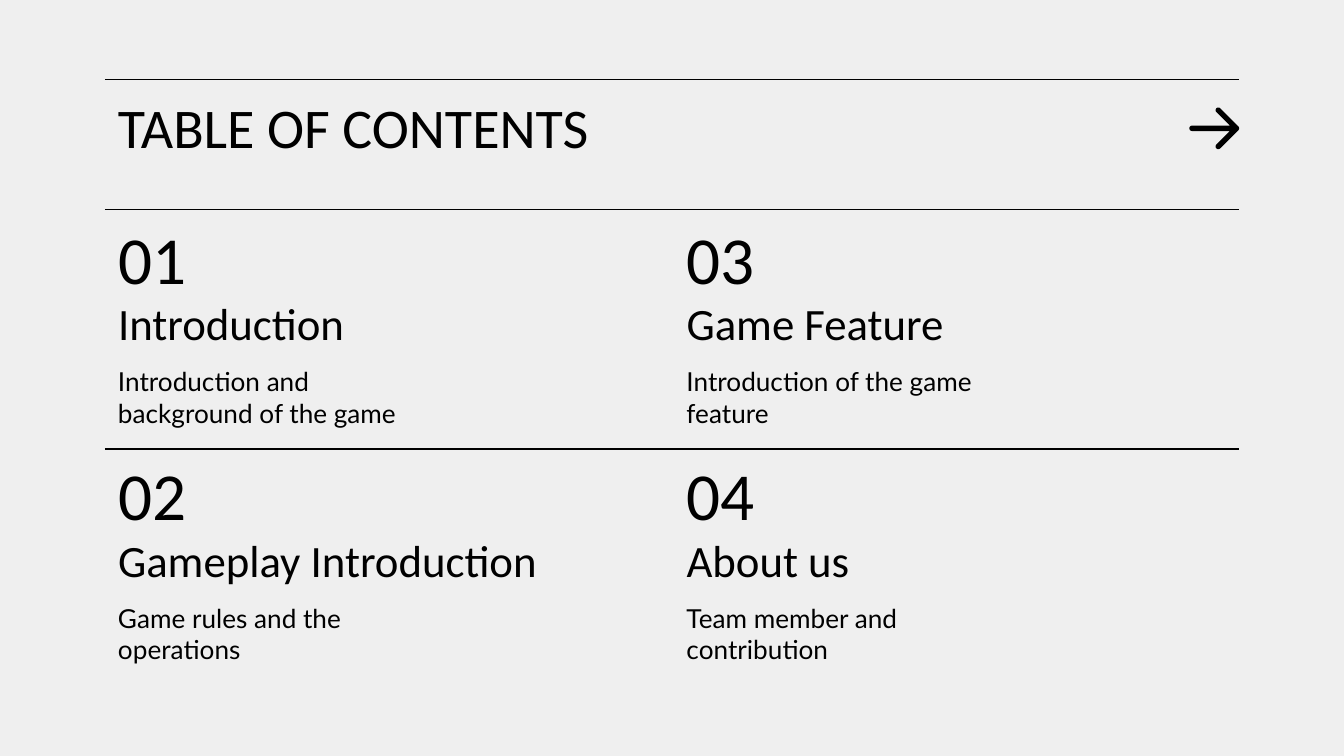
import math
from dataclasses import dataclass

import pptx
import pptx.dml.color
import pptx.enum.shapes
import pptx.enum.text
import pptx.util
from lxml import etree
from pptx.oxml.ns import qn

Inches = pptx.util.Inches
Anchor = pptx.enum.text.MSO_ANCHOR


@dataclass(frozen=True)
class Theme:
    ink: str = "000000"
    paper: str = "EFEFEF"
    heading_font: str = "Calibri"
    body_font: str = "Lato"
    title_size: int = 30
    number_size: int = 36
    topic_size: int = 24
    summary_size: int = 14
    rule_width: float = 0.75


THEME = Theme()
INK = pptx.dml.color.RGBColor.from_string(THEME.ink)

LEFT, WIDTH = 0.78, 8.44
HEADER_TOP, HEADER_HEIGHT = 0.59, 0.97
COLUMNS = (LEFT, 5.01)
ROWS = (1.64, 3.4)
RULES = (HEADER_TOP, HEADER_TOP + HEADER_HEIGHT, 3.34)
# One list of (topic, summary) per column, numbered down each column
CONTENTS = (
    (
        ("Introduction", "Introduction and background of the game"),
        ("Gameplay Introduction", "Game rules and the operations"),
    ),
    (
        ("Game Feature", "Introduction of the game feature"),
        ("About us", "Team member and contribution"),
    ),
)


def add_text(slide, box, text, size, font, anchor=Anchor.TOP):
    frame = slide.shapes.add_textbox(*map(Inches, box)).text_frame
    frame_format = {
        "word_wrap": True,
        "auto_size": pptx.enum.text.MSO_AUTO_SIZE.NONE,
        "vertical_anchor": anchor,
    }
    for side in ("left", "top", "right", "bottom"):
        frame_format[f"margin_{side}"] = Inches(0.1)
    for name, value in frame_format.items():
        setattr(frame, name, value)
    run = frame.paragraphs[0].add_run()
    run.text = text
    for name, value in {"size": pptx.util.Pt(size), "name": font}.items():
        setattr(run.font, name, value)
    run.font.color.rgb = INK


def add_rule(slide, left, top, width):
    rule = slide.shapes.add_connector(
        pptx.enum.shapes.MSO_CONNECTOR.STRAIGHT,
        Inches(left), Inches(top), Inches(left + width), Inches(top),
    )
    rule.line.color.rgb = INK
    rule.line.width = pptx.util.Pt(THEME.rule_width)
    etree.SubElement(rule._element.spPr, qn("a:effectLst"))


def arc(center, radius, start, end, steps=12):
    """Return points along an arc; angles in degrees, clockwise from right."""
    angles = (math.radians(start + (end - start) * i / steps) for i in range(steps + 1))
    return [
        (center[0] + radius * math.cos(a), center[1] + radius * math.sin(a))
        for a in angles
    ]


def add_arrow(slide, left, top, width, height):
    """Draw a right arrow with rounded ends and 45-degree arms."""
    radius = 0.02
    middle = top + height / 2
    tip = (left + width - radius, middle)
    arm_x = left + width - height / 2
    inner_x = tip[0] - radius * (1 + math.sqrt(2))
    outline = [
        *arc((arm_x, top + radius), radius, 135, 315),
        *arc(tip, radius, -45, 45),
        *arc((arm_x, top + height - radius), radius, 45, 225),
        (inner_x, middle + radius),
        *arc((left + radius, middle), radius, 90, 270),
        (inner_x, middle - radius),
    ]
    points = [(Inches(x), Inches(y)) for x, y in outline]
    builder = slide.shapes.build_freeform(*points[0])
    builder.add_line_segments(points[1:], close=True)
    arrow = builder.convert_to_shape()
    arrow.shadow.inherit = False
    arrow.fill.solid()
    arrow.fill.fore_color.rgb = INK
    arrow.line.fill.background()


def add_header(slide, left, top, width):
    add_text(slide, (left, top, width, 0.52), "TABLE OF CONTENTS",
             THEME.title_size, THEME.heading_font)
    add_arrow(slide, left + width - 0.37, top + 0.21, 0.37, 0.31)


def add_entry(slide, left, top, number, topic, summary):
    topic_width = 3.98 if len(topic) > 20 else 2.92
    parts = (
        (0, 2.92, 0.55, f"{number:02}", THEME.number_size, THEME.heading_font, Anchor.MIDDLE),
        (0.55, topic_width, 0.51, topic, THEME.topic_size, THEME.heading_font, Anchor.BOTTOM),
        (0.98, 2.37, 0.54, summary, THEME.summary_size, THEME.body_font, Anchor.TOP),
    )
    for offset, width, height, *text_format in parts:
        add_text(slide, (left, top + offset, width, height), *text_format)


def main():
    deck = pptx.Presentation()
    deck.slide_width = Inches(10)
    deck.slide_height = deck.slide_width * 9 // 16
    slide = deck.slides.add_slide(deck.slide_layouts[6])
    slide.background.fill.solid()
    slide.background.fill.fore_color.rgb = pptx.dml.color.RGBColor.from_string(THEME.paper)

    for top in RULES:
        add_rule(slide, LEFT, top, WIDTH)
    add_header(slide, LEFT, HEADER_TOP, WIDTH)
    for column, (left, entries) in enumerate(zip(COLUMNS, CONTENTS)):
        for row, (top, entry) in enumerate(zip(ROWS, entries)):
            add_entry(slide, left, top, column * len(ROWS) + row + 1, *entry)
    deck.save("out.pptx")


if __name__ == "__main__":
    main()
